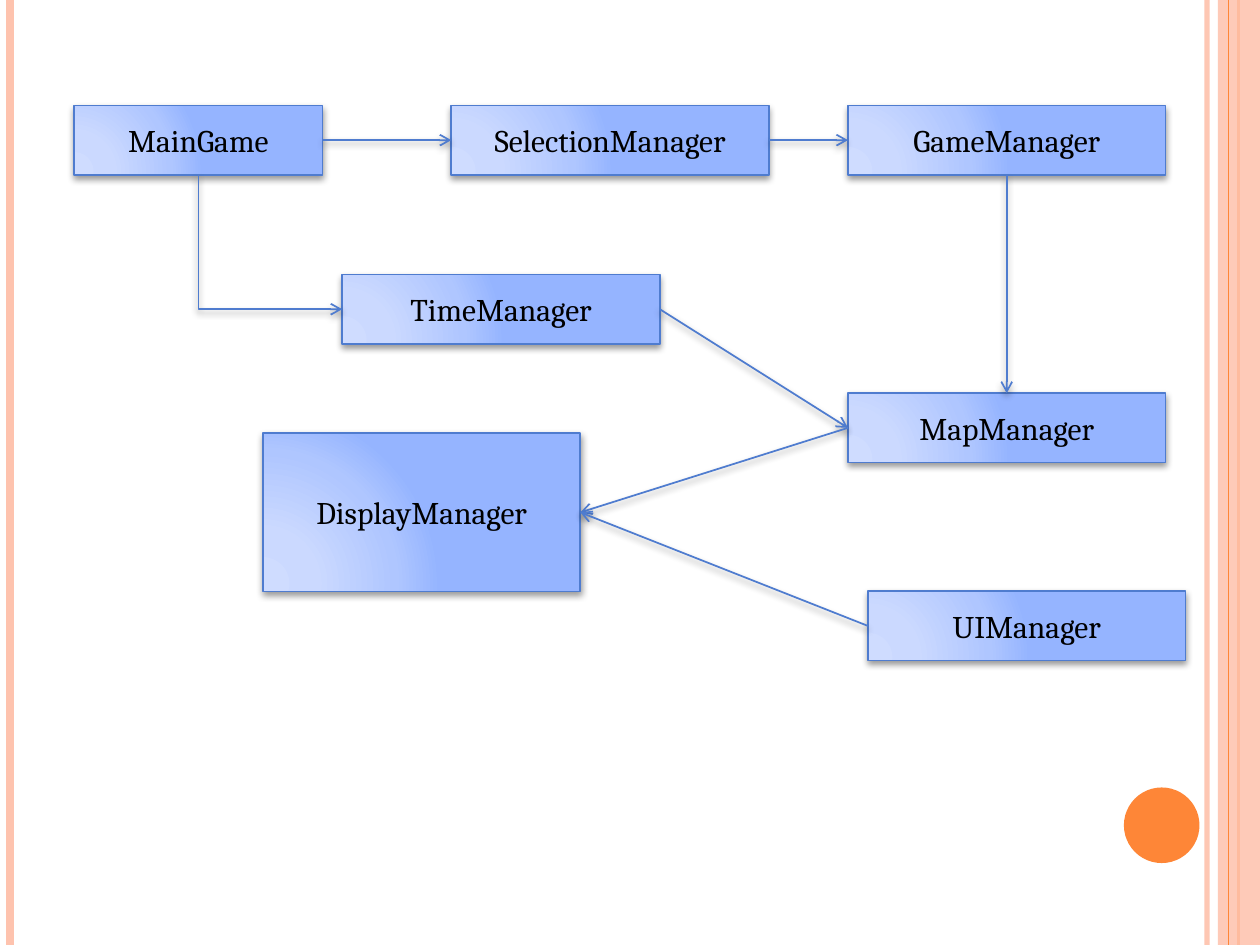
from dataclasses import dataclass

from lxml import etree
from pptx import Presentation
from pptx.dml.color import RGBColor
from pptx.enum.shapes import MSO_CONNECTOR, MSO_SHAPE
from pptx.enum.text import MSO_ANCHOR, PP_ALIGN
from pptx.oxml.ns import qn
from pptx.util import Pt

RECT, OVAL = MSO_SHAPE.RECTANGLE, MSO_SHAPE.OVAL
LINE, ELBOW = MSO_CONNECTOR.STRAIGHT, MSO_CONNECTOR.ELBOW
MIDDLE, CENTER = MSO_ANCHOR.MIDDLE, PP_ALIGN.CENTER
TOP, LEFT, BOTTOM, RIGHT = range(4)
WIDE, HIGH = 720, 540


@dataclass(frozen=True)
class Theme:
    peach: str = "FEC3AE"
    orange: str = "FE8637"
    edge: str = "4F7CCF"
    ink: str = "000000"
    stops: tuple = ((0, "CFDCFF"), (30, "CBD9FF"), (75, "AFC6FF"), (100, "95B4FF"))
    font: str = "Cambria"
    size: float = 18
    stroke: float = 1


@dataclass(frozen=True)
class Rail:
    x: float
    color: str
    width: float
    alpha: int = 100


@dataclass(frozen=True)
class Box:
    name: str
    x: float
    y: float
    w: float = 181.44
    h: float = 39.6


@dataclass(frozen=True)
class Link:
    start: str
    out: int
    end: str
    into: int
    bent: bool = False


THEME = Theme()
BACK = (
    Rail(689.76, THEME.peach, 3, 93),
    Rail(5.76, THEME.peach, 4.5),
    Rail(707.76, THEME.orange, 1.5),
)
FRONT = Rail(702, THEME.orange, 0.75)
ROW = 60.3
COL = 484.56
BOXES = (
    Box("MainGame", 42.48, ROW, 141.84),
    Box("TimeManager", 195.6, 156.9),
    Box("SelectionManager", 257.9, ROW),
    Box("GameManager", COL, ROW),
    Box("MapManager", COL, 224.7),
    Box("UIManager", 496, 337.9),
    Box("DisplayManager", 150.2, 247.5, h=90.6),
)
LINKS = (
    Link("MainGame", RIGHT, "SelectionManager", LEFT),
    Link("MainGame", BOTTOM, "TimeManager", LEFT, True),
    Link("SelectionManager", RIGHT, "GameManager", LEFT),
    Link("GameManager", BOTTOM, "MapManager", TOP),
    Link("TimeManager", RIGHT, "MapManager", LEFT),
    Link("MapManager", LEFT, "DisplayManager", RIGHT),
    Link("UIManager", LEFT, "DisplayManager", RIGHT),
)


def node(parent, tag: str, **attrs):
    return etree.SubElement(parent, qn(tag), {k: str(v) for k, v in attrs.items()})


def fade(part, alpha: int) -> None:
    if alpha < 100:
        color = next(part.iter(qn("a:srgbClr")))
        node(color, "a:alpha", val=alpha * 1000)


def shade(effects) -> None:
    drop = node(effects, "a:outerShdw", blurRad=Pt(4), dist=Pt(2),
                dir=90 * 60000, rotWithShape=0)
    color = node(drop, "a:srgbClr", val=THEME.ink)
    node(color, "a:alpha", val=40000)


def blend(shape) -> None:
    props = shape.element.spPr
    grad = node(props, "a:gradFill", rotWithShape=1)
    stops = node(grad, "a:gsLst")
    for place, color in THEME.stops:
        stop = node(stops, "a:gs", pos=place * 1000)
        node(stop, "a:srgbClr", val=color)
    field = node(grad, "a:path", path="circle")
    node(field, "a:fillToRect", l=5000, t=100000, r=120000, b=10000)
    props.find(qn("a:prstGeom")).addnext(grad)


def stroke(shape, color: str, width: float) -> None:
    shape.line.color.rgb = RGBColor.from_string(color)
    shape.line.width = Pt(width)


def draw_rail(slide, rail: Rail) -> None:
    line = slide.shapes.add_connector(LINE, Pt(rail.x), Pt(0), Pt(rail.x), Pt(HIGH))
    stroke(line, rail.color, rail.width)
    fade(line.element.spPr, rail.alpha)
    node(line.element.spPr, "a:effectLst")


def draw_plain(slide, kind, x: float, y: float, w: float, h: float,
               color: str, alpha: int = 100) -> None:
    shape = slide.shapes.add_shape(kind, Pt(x), Pt(y), Pt(w), Pt(h))
    shape.shadow.inherit = False
    shape.fill.solid()
    shape.fill.fore_color.rgb = RGBColor.from_string(color)
    fade(shape.element.spPr, alpha)
    shape.line.fill.background()


def draw_box(slide, box: Box):
    shape = slide.shapes.add_shape(RECT, Pt(box.x), Pt(box.y), Pt(box.w), Pt(box.h))
    blend(shape)
    stroke(shape, THEME.edge, THEME.stroke)
    shape.shadow.inherit = False
    shade(shape.element.spPr.find(qn("a:effectLst")))
    frame = shape.text_frame
    frame.vertical_anchor = MIDDLE
    para = frame.paragraphs[0]
    para.alignment = CENTER
    run = para.add_run()
    run.text = box.name
    run.font.name = THEME.font
    run.font.size = Pt(THEME.size)
    run.font.color.rgb = RGBColor.from_string(THEME.ink)
    return shape


def bend(line) -> None:
    x, y, w, h = line.left, line.top, line.width, line.height
    line.left, line.top = x + (w - h) // 2, y + (h - w) // 2
    line.width, line.height = h, w
    props = line.element.spPr
    frame = props.find(qn("a:xfrm"))
    frame.set("rot", str(270 * 60000))
    frame.set("flipH", "1")
    props.find(qn("a:prstGeom")).set("prst", "bentConnector2")


def draw_link(slide, link: Link, shapes: dict) -> None:
    kind = ELBOW if link.bent else LINE
    line = slide.shapes.add_connector(kind, Pt(0), Pt(0), Pt(0), Pt(0))
    line.begin_connect(shapes[link.start], link.out)
    line.end_connect(shapes[link.end], link.into)
    if link.bent:
        bend(line)
    stroke(line, THEME.edge, THEME.stroke)
    props = line.element.spPr
    node(props.find(qn("a:ln")), "a:tailEnd", type="arrow")
    shade(node(props, "a:effectLst"))


def main() -> None:
    deck = Presentation()
    deck.slide_width, deck.slide_height = Pt(WIDE), Pt(HIGH)
    slide = deck.slides.add_slide(deck.slide_layouts[6])
    for rail in BACK:
        draw_rail(slide, rail)
    draw_plain(slide, RECT, 696, 0, 24, HIGH, THEME.peach, 87)
    draw_rail(slide, FRONT)
    draw_plain(slide, OVAL, 642.24, 450, 43.2, 43.2, THEME.orange)
    shapes = {box.name: draw_box(slide, box) for box in BOXES}
    for link in LINKS:
        draw_link(slide, link, shapes)
    deck.save("out.pptx")


if __name__ == "__main__":
    main()
